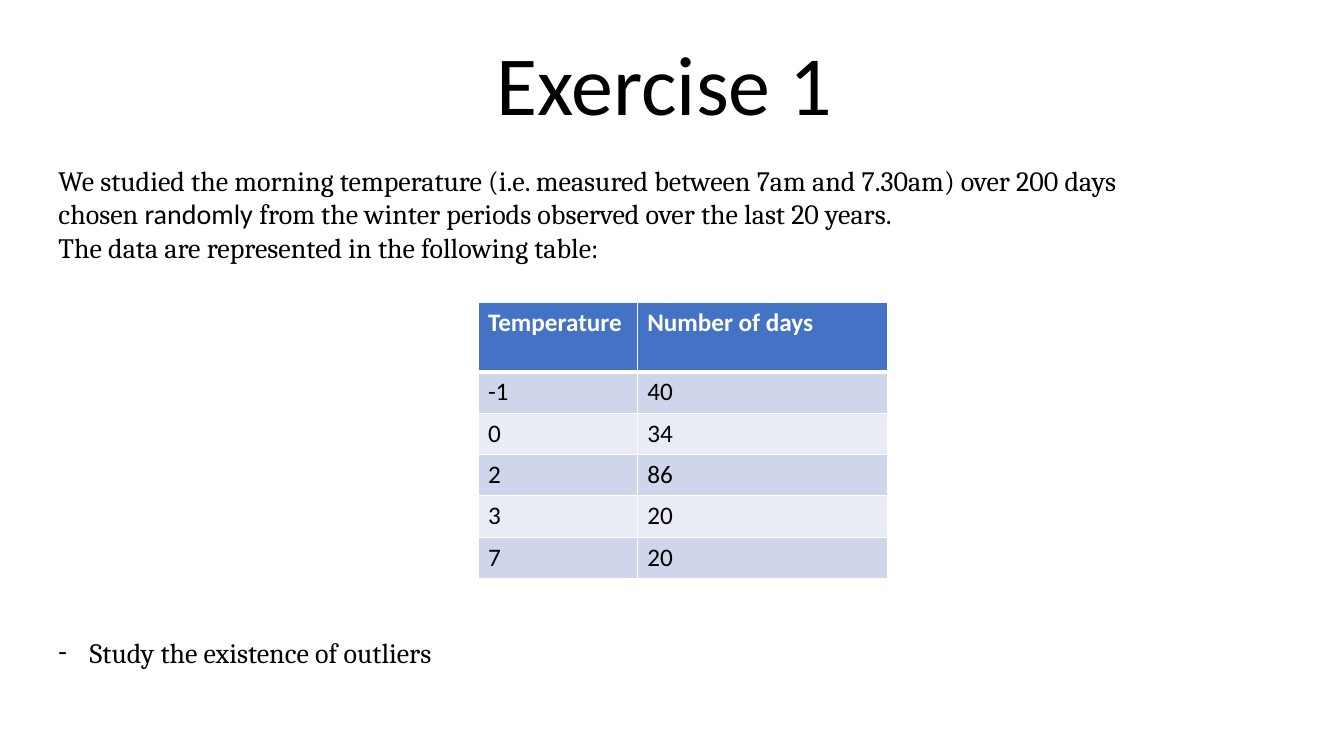
import pptx
import pptx.util
import pptx.enum.text
import pptx.dml.color
import pptx.oxml
import pptx.oxml.ns
from lxml import etree

Inches, Pt = pptx.util.Inches, pptx.util.Pt
qn = pptx.oxml.ns.qn

# Content
TITLE = "Exercise 1"
# Each paragraph is a list of (text, font)
INTRO = [
    [("We studied the morning temperature (i.e. measured between 7am and 7.30am) "
      "over 200 days chosen ", "Cambria"),
     ("randomly ", "Calibri"),
     ("from the winter periods observed over the last 20 years.", "Cambria")],
    [("The data are represented in the following table:", "Cambria")],
]
TASK = [("Study the existence of outliers", "Cambria")]
HEADER = ("Temperature", "Number of days")
DAYS_BY_TEMPERATURE = [(-1, 40), (0, 34), (2, 86), (3, 20), (7, 20)]

COLORS = {"text": "000000", "header": "4472C4", "border": "FFFFFF",
          "header_text": "FFFFFF", "odd": "CFD5EA", "even": "E9EBF5"}
COLUMN_WIDTHS = (1.58, 2.48)
HEADER_HEIGHT, ROW_HEIGHT = 0.69, 0.41
TASK_GAP = 265  # points left free for the table


def rgb(name):
    return pptx.dml.color.RGBColor.from_string(COLORS[name])


def style(font, face, size, color="text", bold=False):
    font.name, font.size, font.bold = face, Pt(size), bold
    font.color.rgb = rgb(color)


def place(box, left, top, width, height):
    box.left, box.top = Inches(left), Inches(top)
    box.width, box.height = Inches(width), Inches(height)


def set_bullet(paragraph, char=None, indent=0.0):
    props = paragraph._p.get_or_add_pPr()
    props.set("marL", str(Inches(indent)))
    props.set("indent", str(-Inches(indent)))
    if char:
        etree.SubElement(props, qn("a:buFont"), typeface="Calibri")
        etree.SubElement(props, qn("a:buChar"), char=char)
    else:
        etree.SubElement(props, qn("a:buNone"))


def set_borders(cell, widths):
    props = cell._tc.get_or_add_tcPr()
    for position, (side, width) in enumerate(widths.items()):
        line = etree.Element(qn("a:ln" + side), w=str(Pt(width)))
        fill = etree.SubElement(line, qn("a:solidFill"))
        etree.SubElement(fill, qn("a:srgbClr"), val=COLORS["border"])
        props.insert(position, line)


prs = pptx.Presentation()
prs.slide_width, prs.slide_height = Inches(13.33), Inches(7.5)
slide = prs.slides.add_slide(prs.slide_layouts[1])

# Title
title = slide.shapes.title
place(title, 1.59, 0.03, 10, 1.35)
title.text_frame.text = TITLE
title.text_frame.auto_size = pptx.enum.text.MSO_AUTO_SIZE.NONE
title.text_frame.vertical_anchor = pptx.enum.text.MSO_ANCHOR.BOTTOM
heading = title.text_frame.paragraphs[0]
heading.alignment = pptx.enum.text.PP_ALIGN.CENTER
heading.line_spacing = 0.9
style(heading.runs[0].font, "Calibri", 60)

# Introduction and task, with the table's space between them
body = slide.placeholders[1]
place(body, 0.48, 1.57, 10.98, 5.76)
body.text_frame.auto_size = pptx.enum.text.MSO_AUTO_SIZE.NONE
for number, pieces in enumerate(INTRO + [TASK]):
    paragraph = (body.text_frame.add_paragraph() if number
                 else body.text_frame.paragraphs[0])
    is_task = pieces is TASK
    set_bullet(paragraph, "-" if is_task else None, 0.31 if is_task else 0)
    paragraph.space_before = Pt(TASK_GAP if is_task else 0)
    for text, face in pieces:
        run = paragraph.add_run()
        run.text = text
        style(run.font, face, 20)

# Temperature table
rows = [HEADER] + DAYS_BY_TEMPERATURE
table_height = HEADER_HEIGHT + ROW_HEIGHT * len(DAYS_BY_TEMPERATURE)
temperatures = slide.shapes.add_table(
    len(rows), len(HEADER), Inches(4.74), Inches(3),
    Inches(sum(COLUMN_WIDTHS)), Inches(table_height)).table
for column, width in zip(temperatures.columns, COLUMN_WIDTHS):
    column.width = Inches(width)
for r, values in enumerate(rows):
    is_header = r == 0
    temperatures.rows[r].height = Inches(HEADER_HEIGHT if is_header else ROW_HEIGHT)
    fill = "header" if is_header else "odd" if r % 2 else "even"
    for c, value in enumerate(values):
        cell = temperatures.cell(r, c)
        cell.text_frame.text = str(value)
        style(cell.text_frame.paragraphs[0].runs[0].font, "Calibri", 18,
              "header_text" if is_header else "text", is_header)
        cell.fill.solid()
        cell.fill.fore_color.rgb = rgb(fill)
        set_borders(cell, {"L": 1, "R": 1, "T": 3 if r == 1 else 1,
                           "B": 3 if is_header else 1})

prs.save("out.pptx")
